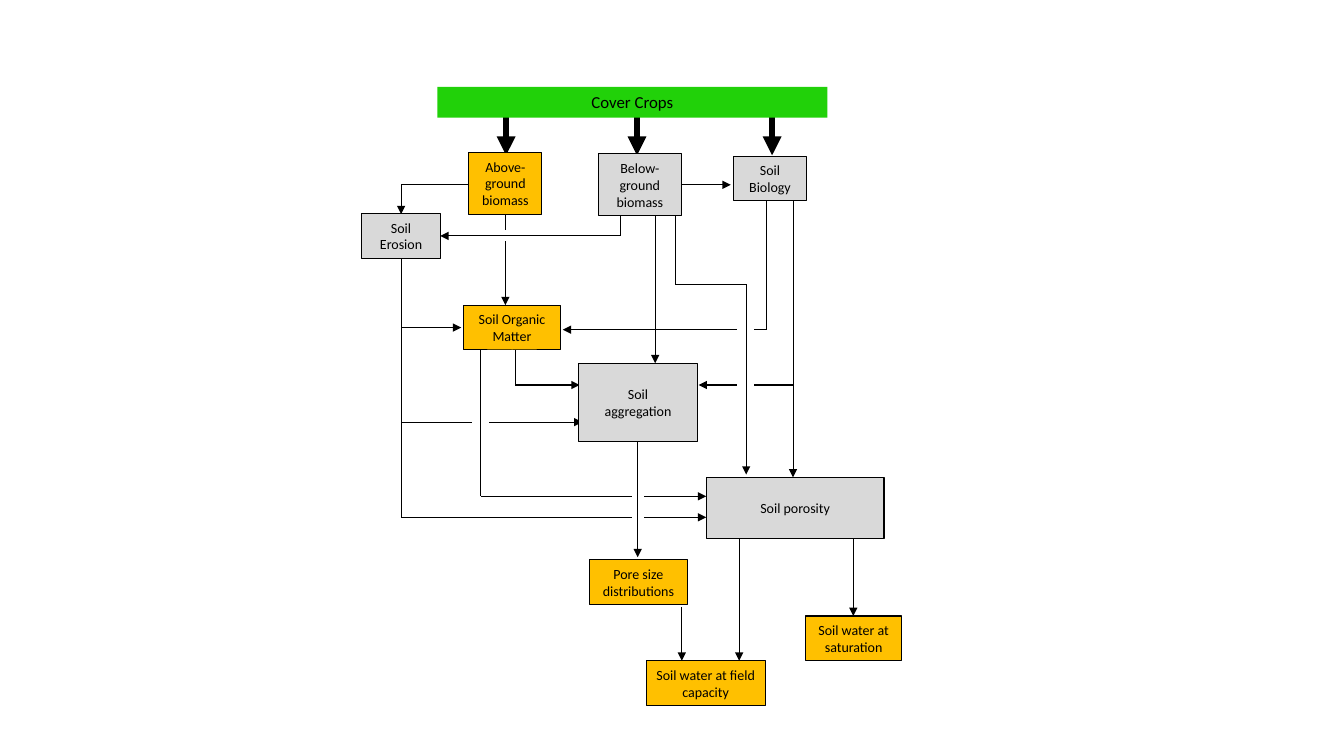
from itertools import pairwise

from lxml import etree
from pptx import Presentation
from pptx.dml.color import RGBColor
from pptx.enum.shapes import MSO_CONNECTOR, MSO_SHAPE
from pptx.enum.text import MSO_ANCHOR, PP_ALIGN
from pptx.oxml.ns import qn
from pptx.util import Pt

BLACK, WHITE = "000000", "FFFFFF"
GREEN, GRAY, AMBER = "21D109", "D9D9D9", "FFC000"

# Text, left, top, width, height, fill
BOXES = [
    ("Above-ground biomass", 335, 109, 52, 44, AMBER),
    ("Below-ground biomass", 427.5, 110, 59, 44, GRAY),
    ("Soil Biology", 524, 111.5, 52, 32, GRAY),
    ("Soil Erosion", 258.5, 152.5, 56, 32, GRAY),
    ("Soil Organic Matter", 331, 218, 69.5, 32, AMBER),
    ("Soil\naggregation", 413, 260, 85.5, 55.5, GRAY),
    ("Soil porosity", 504.5, 341, 127, 44, GRAY),
    ("Pore size distributions", 421, 399.5, 70, 32.5, AMBER),
    ("Soil water at saturation", 575.5, 440, 68.5, 31.5, AMBER),
    ("Soil water at field capacity", 461.5, 472, 85, 32, AMBER),
]

# Each layer: arrows as corner points, then gaps as centre x, centre y, width.
# A gap opens an arrow where an arrow of a later layer crosses it.
LAYERS = [
    ([
        [(286.5, 301.5), (416, 301.5)],               # erosion to aggregation
        [(361, 153), (361, 218)],                     # above-ground to organic matter
        [(547.5, 143.5), (547.5, 235.5), (402, 235.5)],  # biology to organic matter
        [(566.5, 275), (499, 275)],                   # biology to aggregation
    ], [
        (343.5, 301.5, 11.5), (359.5, 168, 11.5),
        (532.5, 236, 11.5), (532.5, 274.5, 11.5),
    ]),
    ([
        [(343.5, 250), (343.5, 354.5), (504.5, 354.5)],  # organic matter to porosity
        [(286.5, 184.5), (286.5, 369.5), (504.5, 369.5)],  # erosion to porosity
    ], [
        (455.5, 354, 8), (455.5, 370, 8),
    ]),
    ([
        [(335, 132), (286.5, 132), (286.5, 153)],     # above-ground to erosion
        [(443, 154), (443, 168.5), (314.5, 168.5)],   # below-ground to erosion
        [(486.5, 132), (522, 132)],                   # below-ground to biology
        [(468, 154), (468, 259.5)],                   # below-ground to aggregation
        [(482.5, 154), (482.5, 203), (533, 203), (533, 339)],  # below-ground to porosity
        [(566.5, 143.5), (566.5, 341)],               # biology to porosity
        [(286.5, 234), (329.5, 234)],                 # erosion to organic matter
        [(368, 250), (368, 275), (414, 275)],         # organic matter to aggregation
        [(455.5, 315), (455.5, 398)],                 # aggregation to pore size
        [(487, 433.5), (487, 472)],                   # pore size to field capacity
        [(528, 385), (528, 472)],                     # porosity to field capacity
        [(609.5, 385), (609.5, 440)],                 # porosity to saturation
    ], []),
]


def rgb(color):
    return RGBColor.from_string(color)


def add_line(slide, start, end, width, arrow):
    line = slide.shapes.add_connector(
        MSO_CONNECTOR.STRAIGHT, *[Pt(v) for v in (*start, *end)])
    line.line.color.rgb = rgb(BLACK)
    line.line.width = Pt(width)
    if arrow:
        tail = etree.SubElement(line.line._get_or_add_ln(), qn("a:tailEnd"))
        tail.set("type", "triangle")
    etree.SubElement(line._element.spPr, qn("a:effectLst"))


def add_arrow(slide, points, width=0.75):
    """Join the points with straight lines; the last line carries the arrowhead."""
    for start, end in pairwise(points):
        add_line(slide, start, end, width, arrow=end == points[-1])


def add_rect(slide, left, top, width, height, fill, outline):
    sp = slide.shapes.add_shape(
        MSO_SHAPE.RECTANGLE, Pt(left), Pt(top), Pt(width), Pt(height))
    sp.shadow.inherit = False
    sp.fill.solid()
    sp.fill.fore_color.rgb = rgb(fill)
    if outline:
        sp.line.color.rgb = rgb(outline)
        sp.line.width = Pt(0.75)
    else:
        sp.line.fill.background()
    return sp


def add_gap(slide, x, y, width):
    height = 7.2
    add_rect(slide, x - width / 2, y - height / 2, width, height, WHITE, WHITE)


def add_box(slide, text, left, top, width, height, fill, size=10, outline=BLACK):
    tf = add_rect(slide, left, top, width, height, fill, outline).text_frame
    tf.word_wrap = True
    tf.vertical_anchor = MSO_ANCHOR.MIDDLE
    tf.text = text
    for p in tf.paragraphs:
        p.alignment = PP_ALIGN.CENTER
        for r in p.runs:
            r.font.name = "Calibri"
            r.font.size = Pt(size)
            r.font.color.rgb = rgb(BLACK)


def main():
    prs = Presentation()
    prs.slide_width, prs.slide_height = Pt(960), Pt(540)
    slide = prs.slides.add_slide(prs.slide_layouts[6])

    for arrows, gaps in LAYERS:
        for points in arrows:
            add_arrow(slide, points)
        for gap in gaps:
            add_gap(slide, *gap)
    for x in (361.5, 455, 551.5):
        add_arrow(slide, [(x, 75), (x, 111)], width=4.5)
    add_box(slide, "Cover Crops", 312.5, 62, 278.5, 22, GREEN, size=12, outline=None)
    for box in BOXES:
        add_box(slide, *box)

    prs.save("out.pptx")


if __name__ == "__main__":
    main()
